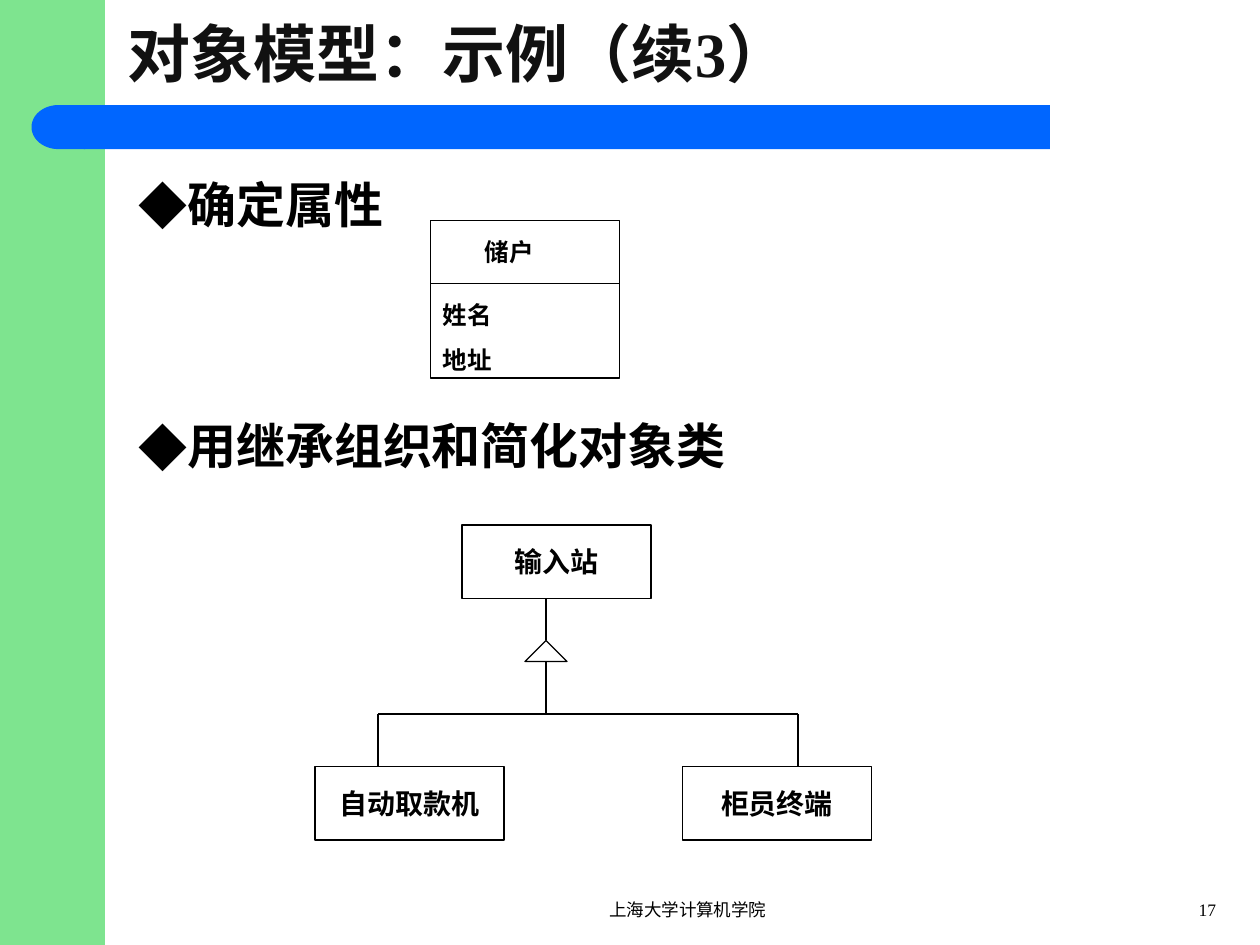
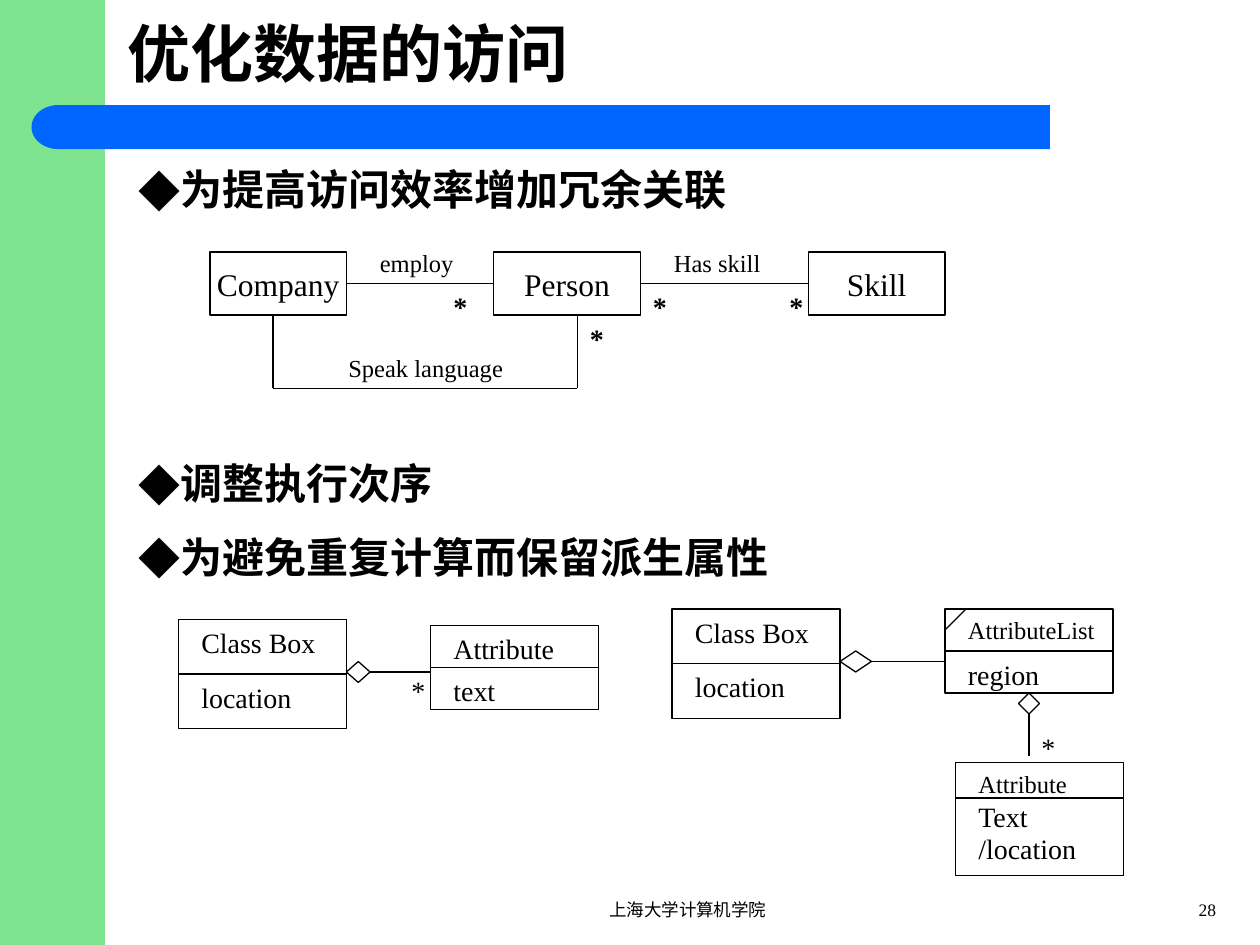
from lxml import etree
from pptx import Presentation
from pptx.dml.color import RGBColor
from pptx.enum.shapes import MSO_CONNECTOR, MSO_SHAPE
from pptx.enum.text import MSO_ANCHOR, PP_ALIGN
from pptx.oxml.ns import qn
from pptx.util import Inches, Pt

RECTANGLE, DIAMOND = MSO_SHAPE.RECTANGLE, MSO_SHAPE.DIAMOND
TRIANGLE, DELAY = MSO_SHAPE.ISOSCELES_TRIANGLE, MSO_SHAPE.FLOWCHART_DELAY
STRAIGHT = MSO_CONNECTOR.STRAIGHT
TOP, MIDDLE = MSO_ANCHOR.TOP, MSO_ANCHOR.MIDDLE
LEFT, CENTER, RIGHT = PP_ALIGN.LEFT, PP_ALIGN.CENTER, PP_ALIGN.RIGHT
LEFT_SIDE, BOTTOM_SIDE, RIGHT_SIDE = 1, 2, 3

COLORS = {"side": "7EE48F", "band": "0066FF", "ink": "000000", "soft_ink": "111111"}
LATIN, CHINESE = "Times New Roman", "Noto Sans CJK SC"
COLUMNS, ROWS = 120, 90
CELLS_PER_INCH = 12
FOOTER = "上海大学计算机学院"


def cells(count):
    return Inches(count / CELLS_PER_INCH)


def color(name):
    return RGBColor.from_string(COLORS[name])


class Deck:
    """Holds the shared style and the slide being drawn; lengths are grid cells."""

    def __init__(self):
        self.presentation = Presentation()
        self.presentation.slide_width = cells(COLUMNS)
        self.presentation.slide_height = cells(ROWS)
        self.slide = None

    def start_slide(self, title, number, ink="ink"):
        self.slide = self.presentation.slides.add_slide(self.presentation.slide_layouts[6])
        self.shape(RECTANGLE, 0, 0, 10, ROWS, fill="side")
        self.shape(RECTANGLE, 8, 10, 92, 4.2, fill="band")
        self.shape(DELAY, 3, 10, 5.1, 4.2, fill="band").rotation = 180
        self.label(title, 11, 0, 104, 36, height=10, anchor=MIDDLE, bold=True, ink=ink)
        self.label(FOOTER, 45, 85, 41, 10, align=CENTER)
        self.label(str(number), 108, 85, 9, 10, align=RIGHT)

    def set_text(self, frame, text, size, align=LEFT, bold=False, ink="ink", font=LATIN, gap=0):
        """Fill a text frame, one paragraph per line of text."""
        frame.text = text
        for index, paragraph in enumerate(frame.paragraphs):
            paragraph.alignment = align
            if index:
                paragraph.space_before = Pt(gap)
            run = paragraph.runs[0]
            for name, value in {"name": font, "size": Pt(size), "bold": bold}.items():
                setattr(run.font, name, value)
            run.font.color.rgb = color(ink)
            east_asian = etree.SubElement(run._r.get_or_add_rPr(), qn("a:ea"))
            east_asian.set("typeface", CHINESE)

    def label(self, text, left, top, width, size, height=None, anchor=TOP, **style):
        height = height or 1.2 + size / 5
        box = self.slide.shapes.add_textbox(*map(cells, (left, top, width, height)))
        box.text_frame.word_wrap = True
        box.text_frame.vertical_anchor = anchor
        self.set_text(box.text_frame, text, size, **style)
        return box

    def heading(self, text, top, width, size, font=LATIN):
        box = self.label(text, 12, top, width, size, bold=True, font=font)
        properties = box.text_frame.paragraphs[0]._p.get_or_add_pPr()
        properties.set("marL", str(Pt(size)))
        properties.set("indent", str(-Pt(size)))
        etree.SubElement(properties, qn("a:buFont")).set("typeface", CHINESE)
        etree.SubElement(properties, qn("a:buChar")).set("char", "◆")

    def shape(self, kind, left, top, width, height, fill=None):
        """Add a filled shape without outline, or an outlined one without fill."""
        shape = self.slide.shapes.add_shape(kind, *map(cells, (left, top, width, height)))
        shape.shadow.inherit = False
        if fill:
            shape.fill.solid()
            shape.fill.fore_color.rgb = color(fill)
            shape.line.fill.background()
        else:
            shape.fill.background()
            self.ink_line(shape.line)
        return shape

    def ink_line(self, line):
        line.color.rgb = color("ink")
        line.width = Pt(0.75)

    def box(self, text, left, top, width, height, size, bold=False):
        box = self.shape(RECTANGLE, left, top, width, height)
        box.text_frame.word_wrap = False
        box.text_frame.vertical_anchor = MIDDLE
        self.set_text(box.text_frame, text, size, align=CENTER, bold=bold)
        return box

    def line(self, start, end, begin=None, finish=None):
        """Draw a line; begin and finish are optional (shape, side) joins."""
        connector = self.slide.shapes.add_connector(STRAIGHT, *map(cells, (*start, *end)))
        self.ink_line(connector.line)
        etree.SubElement(connector._element.spPr, qn("a:effectLst"))
        if begin:
            connector.begin_connect(*begin)
        if finish:
            connector.end_connect(*finish)

    def divided_box(self, left, top, width, height, divider):
        self.shape(RECTANGLE, left, top, width, height)
        self.line((left, divider), (left + width, divider))

    def class_box(self, name, attributes, left, top, height, divider, name_size=16, first=None):
        """Draw a class with its name above the divider and its attributes below."""
        self.divided_box(left, top, 16, height, divider)
        self.label(name, left + 1, top, 15, name_size)
        for index, attribute in enumerate(attributes):
            self.label(attribute, left + 1, (first or divider) + 3 * index, 15, 16)


def draw_object_model(deck):
    deck.start_slide("对象模型：示例（续3）", 17, ink="soft_ink")
    deck.heading("确定属性", 16, 34, 28, font=CHINESE)
    deck.heading("用继承组织和简化对象类", 39, 107, 28, font=CHINESE)

    deck.divided_box(41, 21, 18, 15, divider=27)
    deck.label("储户", 45, 22, 12, 14, bold=True)
    deck.label("姓名\n地址", 41, 28, 12, 14, height=8.3, bold=True, gap=8.8)

    for name, left, top in (("输入站", 44, 50), ("自动取款机", 30, 73), ("柜员终端", 65, 73)):
        deck.box(name, left, top, 18, 7, 16, bold=True)
    trunk, branch_row, branches = 52, 68, (36, 76)
    deck.shape(TRIANGLE, trunk - 2, 61, 4, 2)
    deck.line((trunk, 57), (trunk, 61))
    deck.line((trunk, 63), (trunk, branch_row))
    deck.line((branches[0], branch_row), (branches[1], branch_row))
    for branch in branches:
        deck.line((branch, branch_row), (branch, 73))


def draw_data_access(deck):
    deck.start_slide("优化数据的访问", 28)
    for text, top, width in (
        ("为提高访问效率增加冗余关联", 15, 65),
        ("调整执行次序", 43, 94),
        ("为避免重复计算而保留派生属性", 50, 65),
    ):
        deck.heading(text, top, width, 24)

    company, person, skill = [
        deck.box(name, left, 24, width, 6, 18)
        for name, left, width in (("Company", 20, 13), ("Person", 47, 14), ("Skill", 77, 13))
    ]
    deck.line((33, 27), (47, 27), (company, RIGHT_SIDE), (person, LEFT_SIDE))
    deck.line((61, 27), (77, 27), (person, RIGHT_SIDE), (skill, LEFT_SIDE))
    shortcut = [(26, 30), (26, 37), (55, 37), (55, 30)]
    for start, end in zip(shortcut, shortcut[1:]):
        deck.line(start, end)
    for text, left, top, width in (
        ("employ", 35, 23, 10), ("Has skill", 63, 23, 13), ("Speak language", 32, 33, 18),
    ):
        deck.label(text, left, top, width, 14)
    for left, top in ((42, 27), (61, 27), (74, 27), (55, 30)):
        deck.label("*", left, top, 4, 16, bold=True)

    deck.class_box("Class Box", ["location"], 17, 59, 10.4, divider=64.2)
    deck.class_box("Attribute", ["text"], 41, 59.6, 8, divider=63.6)
    deck.class_box("Class Box", ["location"], 64, 58, 10.4, divider=63.2)
    deck.class_box("AttributeList", ["region"], 90, 58, 8, divider=62, name_size=14)
    deck.class_box("Attribute", ["Text", "/location"], 91, 72.6, 10.8, divider=76,
                   name_size=14, first=75.6)
    deck.line((92, 58), (90, 60))

    for left, top, width, side, start, end in (
        (33, 63, 2.25, RIGHT_SIDE, (35.25, 64), (41, 64)),
        (80, 62, 3, RIGHT_SIDE, (83, 63), (90, 63)),
        (97, 66, 2, BOTTOM_SIDE, (98, 68), (98, 72)),
    ):
        diamond = deck.shape(DIAMOND, left, top, width, 2)
        deck.line(start, end, begin=(diamond, side))
    for left, top in ((38, 63.6), (98, 69)):
        deck.label("*", left, top, 4, 16)


def main():
    deck = Deck()
    draw_object_model(deck)
    draw_data_access(deck)
    deck.presentation.save("out.pptx")


if __name__ == "__main__":
    main()
